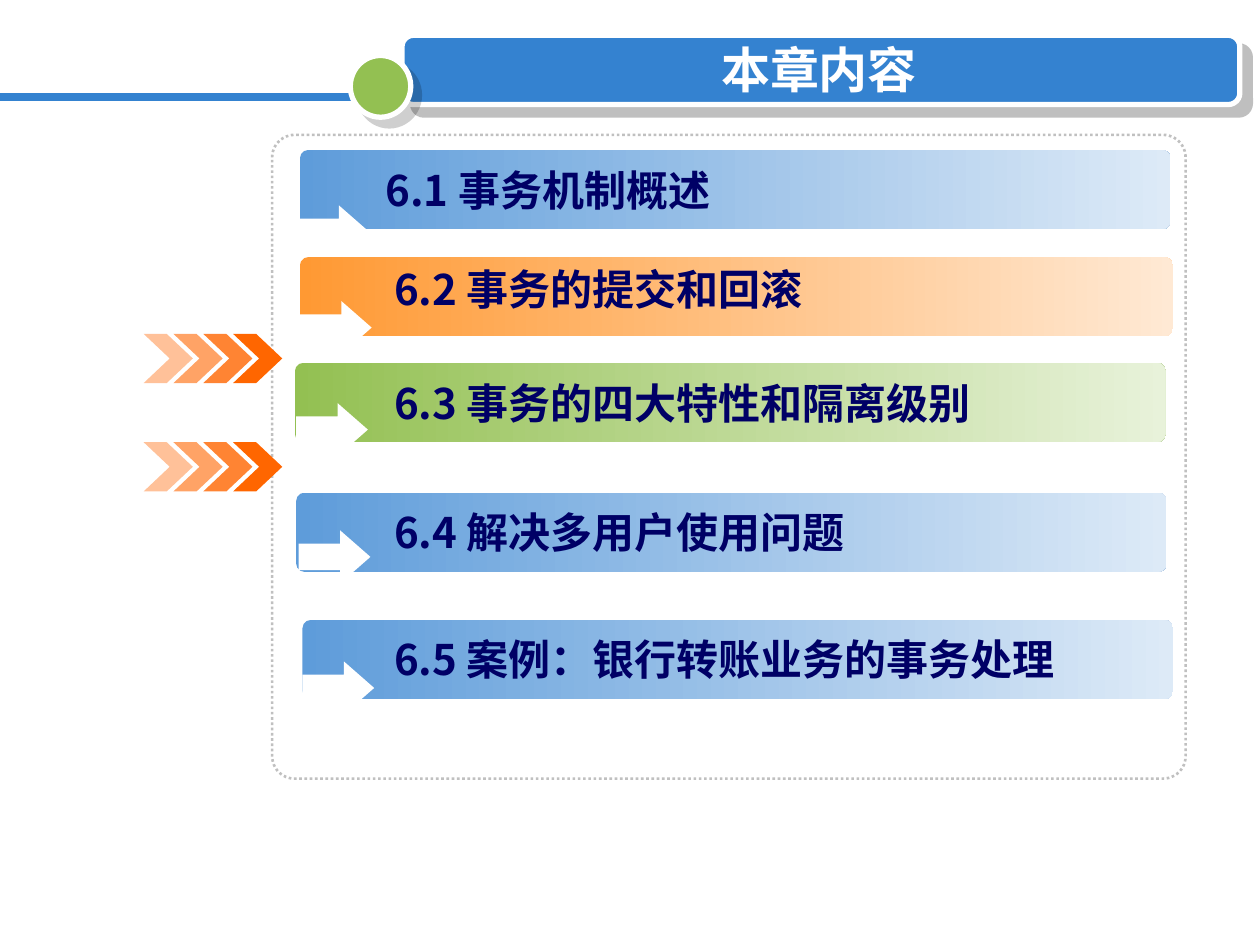
from lxml import etree
from pptx import Presentation, util as u
from pptx.dml.color import RGBColor
from pptx.enum import dml, shapes, text
from pptx.oxml import ns

COLS, ROWS = 10, 7.5
KIND = shapes.MSO_SHAPE
BLUE, GREEN, WHITE = "3482D0", "93C052", "FFFFFF"
SKY = ("5E9CDA", "DDEAF7")
FIRE = ("FF9933", "FFE9D4")
LEAF = ("93C052", "E8F2DA")

deck = Presentation()
deck.slide_width, deck.slide_height = u.Inches(COLS), u.Inches(ROWS)
slide = deck.slides.add_slide(deck.slide_layouts[6])


def color(code):
    return RGBColor.from_string(code)


def grid(*cells):
    return [u.Emu(round(c * deck.slide_width / COLS)) for c in cells]


def child(node, tag, **attrs):
    return etree.SubElement(node, ns.qn(tag), {k: str(v) for k, v in attrs.items()})


def paint(shape, fill=None, line=None, width=0):
    shape.shadow.inherit = False
    if fill is None:
        shape.fill.background()
    elif isinstance(fill, tuple):
        shape.fill.gradient()
        shape.fill.gradient_angle = 0
        for stop, code in zip(shape.fill.gradient_stops, fill):
            stop.color.rgb = color(code)
    else:
        shape.fill.solid()
        shape.fill.fore_color.rgb = color(fill)
    if line:
        shape.line.color.rgb = color(line)
        shape.line.width = u.Pt(width)
    else:
        shape.line.fill.background()
    return shape


def block(kind, box, adjust=(), **look):
    shape = slide.shapes.add_shape(kind, *grid(*box))
    for i, value in enumerate(adjust):
        shape.adjustments[i] = value
    return paint(shape, **look)


def shade(shape, code, alpha, dist):
    effects = shape._element.spPr.find(ns.qn("a:effectLst"))
    outer = child(effects, "a:outerShdw", dist=u.Pt(dist), dir=45 * 60000,
                  algn="ctr", rotWithShape=0)
    child(child(outer, "a:srgbClr", val=code), "a:alpha", val=alpha * 1000)


def label(box, words, size, font, code):
    item = slide.shapes.add_textbox(*grid(*box))
    frame = item.text_frame
    frame.word_wrap = True
    para = frame.paragraphs[0]
    para.text = words
    para.font.size, para.font.bold = u.Pt(size), True
    para.font.name = font
    para.font.color.rgb = color(code)
    return frame


def header(box, words):
    x, y, w, h = box
    plate = block(KIND.ROUNDED_RECTANGLE, box, [0.167], fill=BLUE, line=WHITE, width=3)
    shade(plate, "808080", 50, 8.5)
    level = y + 0.49
    rule = slide.shapes.add_connector(
        shapes.MSO_CONNECTOR.STRAIGHT, *grid(0, level, x + 0.08, level))
    rule.line.color.rgb = color(BLUE)
    rule.line.width = u.Pt(4.5)
    child(rule._element.spPr, "a:effectLst")
    knob = block(KIND.OVAL, (x - 0.41, y + 0.16, 0.48, 0.49),
                 fill=GREEN, line=WHITE, width=3)
    shade(knob, "000000", 19, 7.1)
    frame = label((x + 0.24, y, 6.14, 0.53), words, 28, "Arial", WHITE)
    frame.vertical_anchor = text.MSO_ANCHOR.MIDDLE
    frame.paragraphs[0].alignment = text.PP_ALIGN.CENTER


def panel(box):
    frame = block(KIND.ROUNDED_RECTANGLE, box, [0.035], line="C0C0C0", width=1.5)
    frame.line.dash_style = dml.MSO_LINE.ROUND_DOT


def entry(box, words, tones, arrow, start, span=5.28):
    x, y, w, h = box
    block(KIND.ROUNDED_RECTANGLE, box, [0.109], fill=tones)
    block(KIND.RIGHT_ARROW, (x + arrow[0], y + arrow[1], 0.57, 0.42),
          [0.5, 0.57], fill=WHITE)
    frame = label((x + start[0], y + start[1], span, 0.5),
                  words, 24, "Noto Sans CJK SC", "000066")
    frame.auto_size = text.MSO_AUTO_SIZE.SHAPE_TO_FIT_TEXT


def chevrons(box, count=4):
    x, y, w, h = box
    step = (w - h) / (count - 1)
    outline = [(0, 0), (0.47, 0), (1, 0.5), (0.47, 1), (0, 1), (0.53, 0.5)]
    for i in reversed(range(count)):
        dots = [grid(x + i * step + a * h, y + b * h) for a, b in outline]
        maker = slide.shapes.build_freeform(*dots[0])
        maker.add_line_segments(dots[1:], close=True)
        mark = paint(maker.convert_to_shape(), fill="FF6600")
        if i < count - 1:
            tint = mark._element.spPr.find(".//" + ns.qn("a:srgbClr"))
            child(tint, "a:alpha", val=(40 + 20 * i) * 1000)


header((3.19, 0.28, 6.65, 0.55), "本章内容")
panel((2.16, 1.07, 7.25, 5.11))
for top in (2.65, 3.51):
    chevrons((1.14, top, 1.1, 0.39))

entries = [
    ((2.38, 1.19, 6.91, 0.63), "6.1 事务机制概述", SKY, (-0.02, 0.44), (0.58, 0.07)),
    ((2.38, 2.04, 6.93, 0.63), "6.2 事务的提交和回滚", FIRE, (0, 0.35), (0.65, 0)),
    ((2.34, 2.88, 6.91, 0.63), "6.3 事务的四大特性和隔离级别", LEAF, (0.01, 0.32), (0.69, 0.07)),
    ((2.35, 3.91, 6.91, 0.63), "6.4 解决多用户使用问题", SKY, (0.02, 0.3), (0.68, 0.06)),
    ((2.4, 4.92, 6.91, 0.63), "6.5 案例：银行转账业务的事务处理", SKY, (0, 0.33), (0.63, 0.06), 6.46),
]
for row in entries:
    entry(*row)

deck.save("out.pptx")
